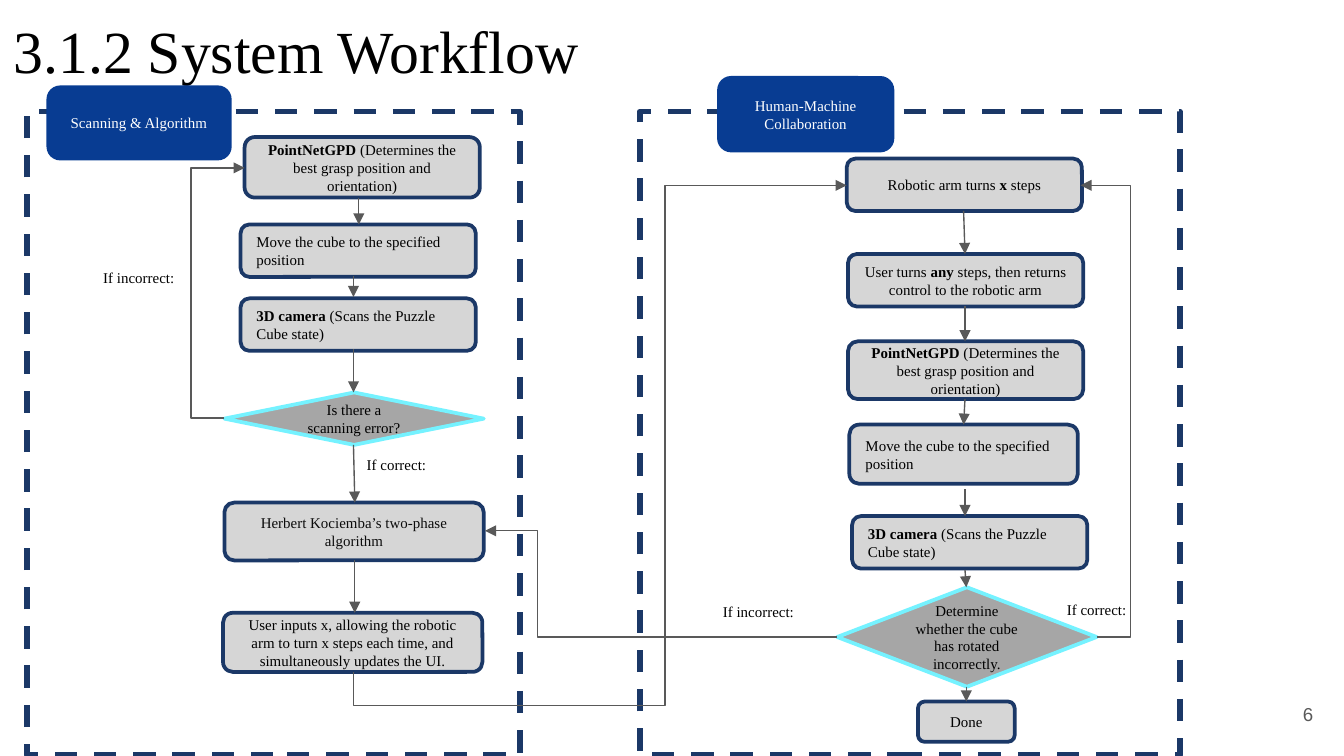
from dataclasses import dataclass

import pptx
import pptx.dml.color
import pptx.enum.dml
import pptx.enum.shapes
import pptx.enum.text
import pptx.oxml
import pptx.oxml.ns
import pptx.util

COLORS = {
    "black": "000000", "ink": "0C0C0C", "white": "FFFFFF", "gray": "595959",
    "navy": "1B3867", "blue": "083C92", "step": "D6D6D6",
    "decision": "A6A6A6", "cyan": "75F2FF",
}
COLS, ROWS = 100, 56.25
CELL = 0.1
SERIF = "Times New Roman"
SHAPE = pptx.enum.shapes.MSO_SHAPE
CONNECTOR = pptx.enum.shapes.MSO_CONNECTOR
ALIGN = pptx.enum.text.PP_ALIGN
ANCHOR = pptx.enum.text.MSO_ANCHOR
FIT = pptx.enum.text.MSO_AUTO_SIZE


@dataclass(frozen=True)
class Style:
    shape: int
    fill: str
    line: str


@dataclass(frozen=True)
class Box:
    col: float
    row: float
    cols: float
    rows: float
    text: str
    style: str = "step"
    align: int = ALIGN.CENTER
    ink: str = "black"


@dataclass(frozen=True)
class Label:
    col: float
    row: float
    cols: float
    rows: float
    text: str
    inset: float


@dataclass(frozen=True)
class Arrow:
    col1: float
    row1: float
    col2: float
    row2: float
    bend_col: float | None = None


STYLES = {
    "step": Style(SHAPE.ROUNDED_RECTANGLE, "step", "navy"),
    "header": Style(SHAPE.ROUNDED_RECTANGLE, "blue", "blue"),
    "decision": Style(SHAPE.FLOWCHART_DECISION, "decision", "cyan"),
}
GRASP = "**PointNetGPD** (Determines the best grasp position and orientation)"
MOVE = "Move the cube to the specified position"
SCAN = "**3D camera** (Scans the Puzzle Cube state)"

FRAMES = [(2, 8.3, 36.7, 47.9), (47.6, 8.3, 40.2, 47.9)]
BOXES = [
    Box(3.6, 6.5, 13.5, 5.3, "Scanning & Algorithm", "header", ink="white"),
    Box(18.2, 10.2, 17.5, 4.5, GRASP),
    Box(17.9, 16.7, 17.5, 3.9, MOVE, align=ALIGN.LEFT),
    Box(17.9, 22.2, 17.5, 3.9, SCAN, align=ALIGN.LEFT),
    Box(16.7, 29.2, 19.3, 3.9, "Is there a scanning error?", "decision"),
    Box(16.7, 37.4, 19.3, 4.3, "Herbert Kociemba’s two-phase algorithm", ink="ink"),
    Box(16.6, 45.6, 19.3, 4.4, "User inputs x, allowing the robotic arm to turn x steps "
        "each time, and simultaneously updates the UI."),
    Box(53.5, 5.8, 12.9, 5.4, "Human-Machine Collaboration", "header", ink="white"),
    Box(63, 11.8, 17.5, 3.9, "Robotic arm turns **x** steps"),
    Box(63.1, 18.9, 17.5, 3.9,
        "User turns **any** steps, then returns control to the robotic arm"),
    Box(63.1, 25.4, 17.5, 4.3, GRASP),
    Box(63.2, 31.6, 17, 4.4, MOVE, align=ALIGN.LEFT),
    Box(63.4, 38.4, 17.5, 3.9, SCAN, align=ALIGN.LEFT),
    Box(62.3, 43.7, 19.3, 7.4,
        "Determine whether the cube has rotated incorrectly.", "decision"),
    Box(68.3, 52.2, 7.2, 3, "Done"),
]
LABELS = [
    Label(26.3, 33.4, 11.8, 2.4, "If correct:", 0.5),
    Label(6.7, 19.5, 11.3, 2.4, "If incorrect:", 0.5),
    Label(78.4, 44, 10, 3.4, "If correct:", 1),
    Label(52.8, 44.2, 10.9, 3.4, "If incorrect:", 1),
]
ARROWS = [
    Arrow(26.7, 14.7, 26.7, 16.7), Arrow(26.3, 20.5, 26.3, 22.1),
    Arrow(26.3, 26, 26.3, 29.2), Arrow(26.3, 33.1, 26.4, 37.4),
    Arrow(26.4, 41.7, 26.4, 45.6), Arrow(71.7, 15.7, 71.8, 18.9),
    Arrow(71.8, 22.8, 71.8, 25.4), Arrow(71.8, 29.7, 71.7, 31.6),
    Arrow(71.8, 36.4, 71.8, 38.4), Arrow(71.8, 42.4, 71.9, 43.7),
    Arrow(71.9, 51.1, 71.9, 52.2),
    Arrow(16.7, 31.1, 18.2, 12.5, 14.2),
    Arrow(81.6, 47.4, 80.4, 13.8, 84.1),
    Arrow(62.3, 47.4, 36.1, 39.5, 40),
]


def grid(*cells: float) -> list[int]:
    return [pptx.util.Inches(n * CELL) for n in cells]


def rgb(name: str) -> pptx.dml.color.RGBColor:
    return pptx.dml.color.RGBColor.from_string(COLORS[name])


def write(tf, text: str, size: float, ink: str, align: int, anchor: int,
          inset_x: float = 1, inset_y: float = 0.5, font: str = SERIF) -> None:
    tf.word_wrap = True
    tf.vertical_anchor = anchor
    tf.margin_left, tf.margin_right = grid(inset_x, inset_x)
    tf.margin_top, tf.margin_bottom = grid(inset_y, inset_y)
    p = tf.paragraphs[0]
    p.alignment = align
    for i, part in enumerate(text.split("**")):
        if part:
            r = p.add_run()
            r.text = part
            r.font.name, r.font.size = font, pptx.util.Pt(size)
            r.font.bold = i % 2 == 1
            r.font.color.rgb = rgb(ink)


def draw_frame(s, cells: tuple) -> None:
    sp = s.shapes.add_shape(SHAPE.RECTANGLE, *grid(*cells))
    sp.shadow.inherit = False
    sp.fill.background()
    sp.line.color.rgb, sp.line.width = rgb("navy"), pptx.util.Pt(3)
    sp.line.dash_style = pptx.enum.dml.MSO_LINE.DASH


def draw_box(s, box: Box) -> None:
    style = STYLES[box.style]
    sp = s.shapes.add_shape(style.shape, *grid(box.col, box.row, box.cols, box.rows))
    sp.shadow.inherit = False
    sp.fill.solid()
    sp.fill.fore_color.rgb = rgb(style.fill)
    sp.line.color.rgb, sp.line.width = rgb(style.line), pptx.util.Pt(2)
    write(sp.text_frame, box.text, 8, box.ink, box.align, ANCHOR.MIDDLE)


def draw_label(s, label: Label) -> None:
    sp = s.shapes.add_textbox(*grid(label.col, label.row, label.cols, label.rows))
    write(sp.text_frame, label.text, 8, "black", ALIGN.LEFT, ANCHOR.TOP, 1, label.inset)
    sp.text_frame.auto_size = FIT.SHAPE_TO_FIT_TEXT


def set_bends(cxn, *shares: float) -> None:
    geom = cxn._element.spPr.find(pptx.oxml.ns.qn("a:prstGeom"))
    geom.set("prst", f"bentConnector{len(shares) + 2}")
    guides = geom.get_or_add_avLst()
    for i, share in enumerate(shares, 1):
        gd = pptx.oxml.parse_xml(f'<a:gd {pptx.oxml.ns.nsdecls("a")} name="adj{i}"/>')
        gd.set("fmla", f"val {round(share * 100000)}")
        guides.append(gd)


def draw_arrow(s, arrow: Arrow):
    kind = CONNECTOR.STRAIGHT if arrow.bend_col is None else CONNECTOR.ELBOW
    cxn = s.shapes.add_connector(
        kind, *grid(arrow.col1, arrow.row1, arrow.col2, arrow.row2))
    cxn.line.color.rgb, cxn.line.width = rgb("gray"), pptx.util.Pt(0.75)
    ns = pptx.oxml.ns.nsdecls("a")
    cxn.line._get_or_add_ln().append(pptx.oxml.parse_xml(f'<a:tailEnd {ns} type="triangle"/>'))
    cxn._element.spPr.append(pptx.oxml.parse_xml(f"<a:effectLst {ns}/>"))
    if arrow.bend_col is not None:
        set_bends(cxn, (arrow.bend_col - arrow.col1) / (arrow.col2 - arrow.col1))
    return cxn


def draw_handover(s, arrow: Arrow, low_row: float) -> None:
    mid_col, mid_row = (arrow.col1 + arrow.col2) / 2, (arrow.row1 + arrow.row2) / 2
    wide, tall = arrow.col2 - arrow.col1, arrow.row1 - arrow.row2
    cxn = draw_arrow(s, Arrow(mid_col + tall / 2, mid_row + wide / 2,
                              mid_col - tall / 2, mid_row - wide / 2))
    cxn._element.spPr.xfrm.set("rot", str(90 * 60000))
    set_bends(cxn, (arrow.row1 - low_row) / tall, (arrow.bend_col - arrow.col1) / wide)


def main() -> None:
    prs = pptx.Presentation()
    prs.slide_width, prs.slide_height = grid(COLS, ROWS)
    s = prs.slides.add_slide(prs.slide_layouts[5])
    title = s.shapes.title
    title.left, title.top, title.width, title.height = grid(0, 0, 93.2, 6.3)
    write(title.text_frame, "3.1.2 System Workflow", 32, "black",
          ALIGN.LEFT, ANCHOR.TOP, 1, 1)
    title.text_frame.auto_size = FIT.NONE
    number = s.shapes.add_textbox(*grid(92.7, 51, 6, 4.3))
    write(number.text_frame, "6", 10, "gray", ALIGN.RIGHT, ANCHOR.MIDDLE, 1, 1, "Arial")
    for cells in FRAMES:
        draw_frame(s, cells)
    for box in BOXES:
        draw_box(s, box)
    for label in LABELS:
        draw_label(s, label)
    for arrow in ARROWS:
        draw_arrow(s, arrow)
    draw_handover(s, Arrow(26.3, 50, 63, 13.8, 49.5), 52.5)
    prs.save("out.pptx")


if __name__ == "__main__":
    main()
